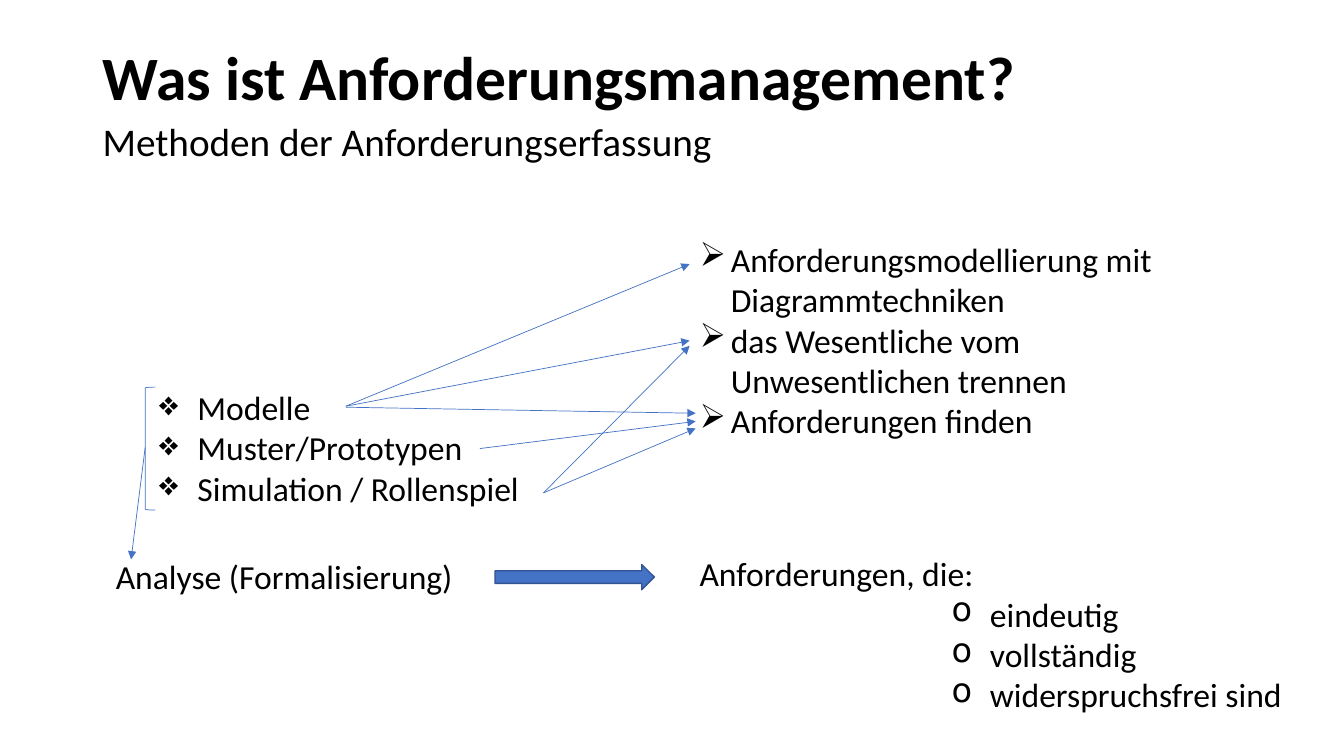
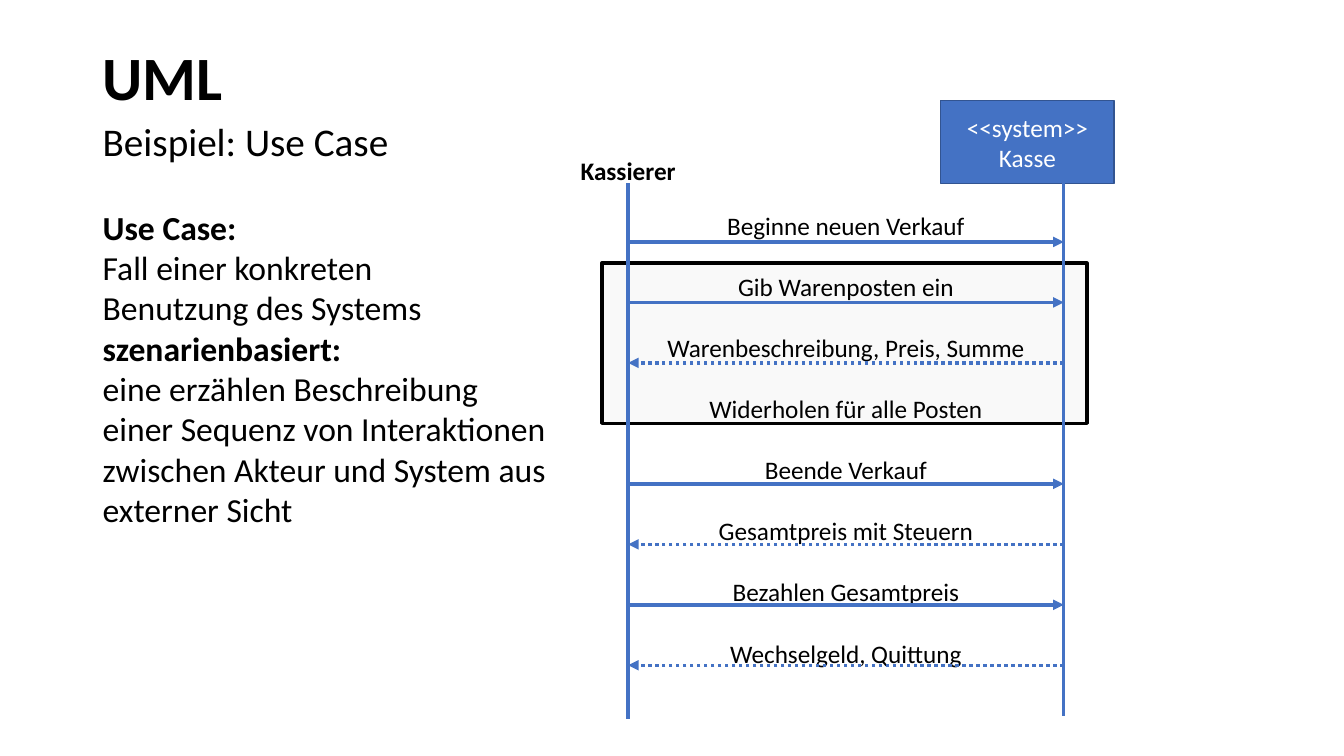
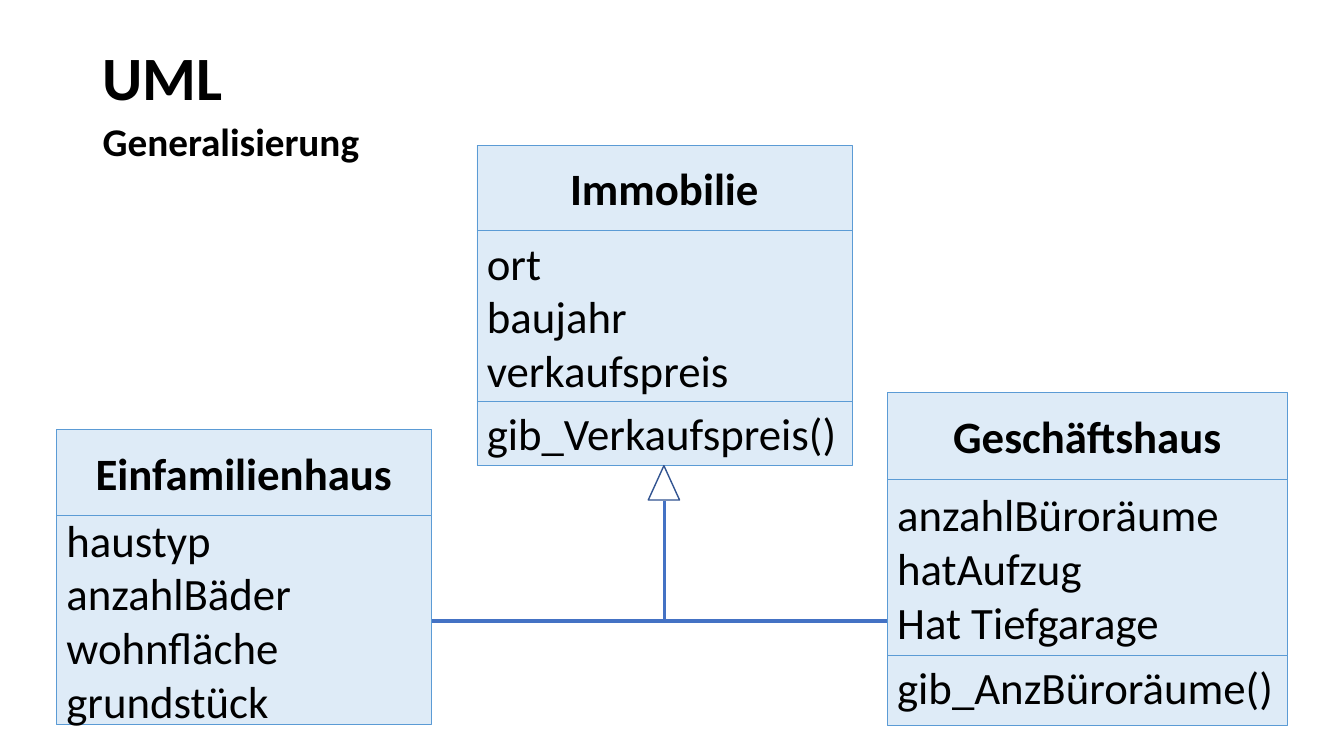
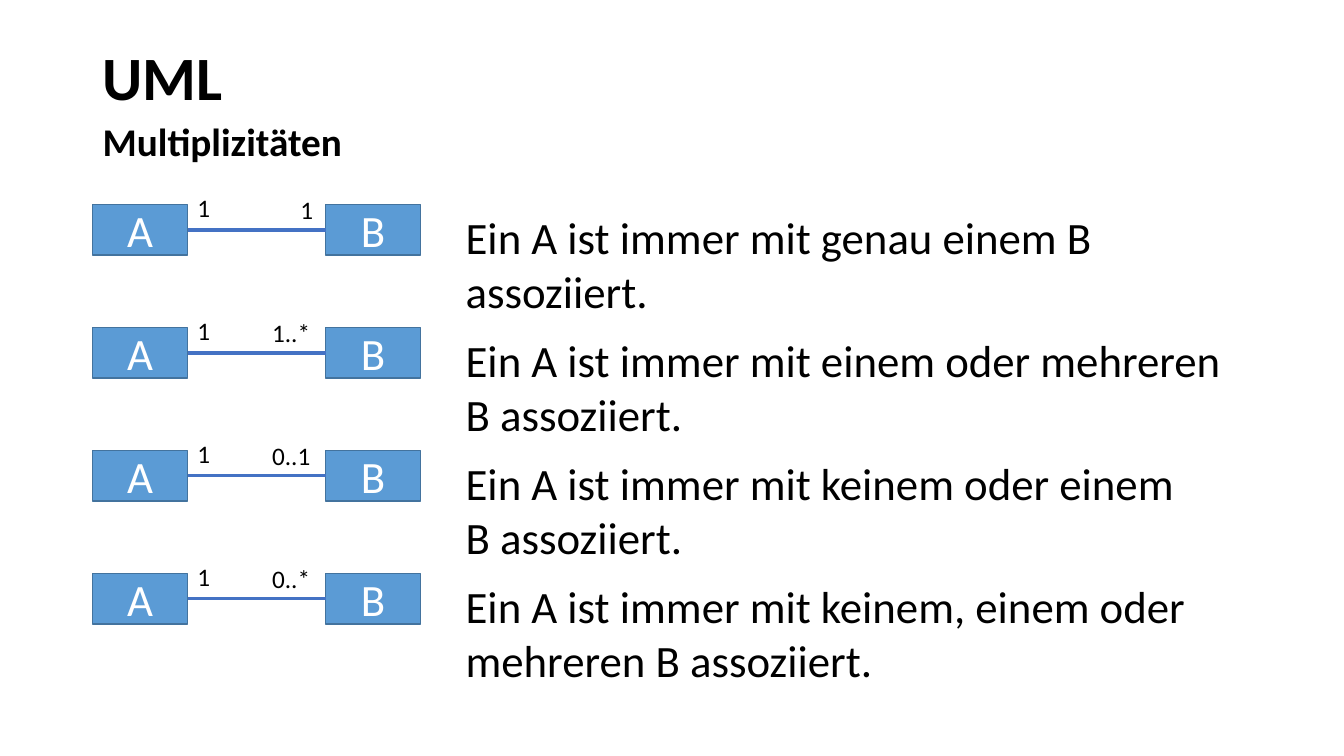
from dataclasses import dataclass

from lxml.etree import SubElement
from pptx import Presentation
from pptx.dml.color import RGBColor
from pptx.enum.dml import MSO_LINE
from pptx.enum.shapes import MSO_CONNECTOR, MSO_SHAPE
from pptx.enum.text import MSO_ANCHOR, PP_ALIGN
from pptx.oxml.ns import qn
from pptx.util import Inches, Pt


@dataclass(frozen=True)
class Theme:
    font: str = "Calibri"
    black: str = "000000"
    white: str = "FFFFFF"
    blue: str = "4472C4"
    blue_edge: str = "325491"
    sky: str = "5B9BD5"
    sky_edge: str = "43739E"
    pale: str = "DEEBF7"
    grey: str = "F2F2F2"
    title: int = 44
    subtitle: int = 28
    large: int = 32
    body: int = 24
    label: int = 18
    thick: float = 2.5
    edge: float = 1
    thin: float = 0.5


THEME = Theme()

# Methods: bulleted lists and the arrows between them
METHODS = ["Modelle", "Muster/Prototypen", "Simulation / Rollenspiel"]
GOALS = [
    "Anforderungsmodellierung mit Diagrammtechniken",
    "das Wesentliche vom Unwesentlichen trennen",
    "Anforderungen finden",
]
ANALYSIS = "Analyse (Formalisierung)"
RESULT = "Anforderungen, die:"
QUALITIES = ["eindeutig", "vollständig", "widerspruchsfrei sind"]
METHOD_ARROWS = [
    ((3.43, 4.03), (6.84, 3.38)),
    ((3.43, 4.03), (6.84, 2.62)),
    ((3.43, 4.04), (6.9, 4.1)),
    ((4.76, 4.45), (6.9, 4.18)),
    ((5.39, 4.89), (6.84, 3.43)),
    ((5.39, 4.89), (6.9, 4.25)),
    ((1.44, 4.44), (1.3, 5.55)),
]

# Use case: (text, bold) and (message, direction)
USE_CASE = [
    ("Use Case:", True),
    ("Fall einer konkreten", False),
    ("Benutzung des Systems", False),
    ("szenarienbasiert:", True),
    ("eine erzählen Beschreibung einer Sequenz von Interaktionen "
     "zwischen Akteur und System aus externer Sicht", False),
]
MESSAGES = [
    ("Beginne neuen Verkauf", "request"),
    ("Gib Warenposten ein", "request"),
    ("Warenbeschreibung, Preis, Summe", "reply"),
    ("Widerholen für alle Posten", None),
    ("Beende Verkauf", "request"),
    ("Gesamtpreis mit Steuern", "reply"),
    ("Bezahlen Gesamtpreis", "request"),
    ("Wechselgeld, Quittung", "reply"),
]

# Classes: left, top, width, name, name height, then (members, height, anchor)
CLASSES = [
    (0.56, 4.26, 3.72, "Einfamilienhaus", 0.85, [
        (["haustyp", "anzahlBäder", "wohnfläche", "grundstück"], 2.08, MSO_ANCHOR.MIDDLE)]),
    (4.73, 1.44, 3.72, "Immobilie", 0.85, [
        (["ort", "baujahr", "verkaufspreis"], 1.69, MSO_ANCHOR.MIDDLE),
        (["gib_Verkaufspreis()"], 0.64, MSO_ANCHOR.TOP)]),
    (8.8, 3.89, 3.97, "Geschäftshaus", 0.87, [
        (["anzahlBüroräume", "hatAufzug", "Hat Tiefgarage"], 1.74, MSO_ANCHOR.MIDDLE),
        (["gib_AnzBüroräume()"], 0.7, MSO_ANCHOR.TOP)]),
]

# Multiplicities: B end, left and rise of its label, sentence, sentence width
MULTIPLICITIES = [
    ("1", 2.88, "Ein A ist immer mit genau einem B assoziiert.", 7.9),
    ("1..*", 2.6, "Ein A ist immer mit einem oder mehreren B assoziiert.", 7.9),
    ("0..1", 2.6, "Ein A ist immer mit keinem oder einem B assoziiert.", 7.53),
    ("0..*", 2.6, "Ein A ist immer mit keinem, einem oder mehreren B assoziiert.", 7.53),
]


def rgb(color):
    return RGBColor.from_string(color)


def write(frame, lines, size, color=THEME.black, bold=False,
          align=PP_ALIGN.LEFT, anchor=MSO_ANCHOR.TOP):
    frame.word_wrap = True
    frame.vertical_anchor = anchor
    frame.text = "\n".join(lines)
    for paragraph in frame.paragraphs:
        paragraph.alignment = align
        for run in paragraph.runs:
            font = run.font
            font.name, font.size, font.bold = THEME.font, Pt(size), bold
            font.color.rgb = rgb(color)
    return frame.paragraphs


def add_text(slide, box, lines, size, **style):
    frame = slide.shapes.add_textbox(*map(Inches, box)).text_frame
    return write(frame, lines, size, **style)


def add_bullets(paragraphs, char, left, hanging):
    for paragraph in paragraphs:
        properties = paragraph._p.get_or_add_pPr()
        properties.set("marL", str(Inches(left)))
        properties.set("indent", str(-Inches(hanging)))
        SubElement(properties, qn("a:buChar")).set("char", char)


def add_shape(slide, kind, box, fill, edge, width):
    shape = slide.shapes.add_shape(kind, *map(Inches, box))
    shape.shadow.inherit = False
    if fill:
        shape.fill.solid()
        shape.fill.fore_color.rgb = rgb(fill)
    else:
        shape.fill.background()
    shape.line.color.rgb = rgb(edge)
    shape.line.width = Pt(width)
    return shape


def add_line(slide, start, end, width=THEME.thick, arrow=False, dotted=False):
    connector = slide.shapes.add_connector(
        MSO_CONNECTOR.STRAIGHT, *map(Inches, (*start, *end)))
    line = connector.line
    line.color.rgb = rgb(THEME.blue)
    line.width = Pt(width)
    if dotted:
        line.dash_style = MSO_LINE.ROUND_DOT
    if arrow:
        SubElement(line._get_or_add_ln(), qn("a:tailEnd")).set("type", "triangle")
    SubElement(connector.element.spPr, qn("a:effectLst"))


def add_slide(deck, title, subtitle, bold_subtitle=False):
    slide = deck.slides.add_slide(deck.slide_layouts[6])
    heading, = add_text(slide, (0.92, 0.4, 11.5, 0.8), [title], THEME.title,
                        bold=True, anchor=MSO_ANCHOR.MIDDLE)
    heading.line_spacing = 0.9
    subheading, = add_text(slide, (0.92, 1.2, 11.5, 0.5), [subtitle],
                           THEME.subtitle, bold=bold_subtitle)
    subheading.line_spacing = 0.8
    return slide


def build_methods(deck):
    slide = add_slide(deck, "Was ist Anforderungsmanagement?",
                      "Methoden der Anforderungserfassung")
    methods = add_text(slide, (1.48, 3.79, 3.91, 1.31), METHODS, THEME.body)
    add_bullets(methods, "❖", 0.38, 0.38)
    goals = add_text(slide, (6.84, 2.32, 4.81, 2.12), GOALS, THEME.body)
    add_bullets(goals, "➢", 0.31, 0.31)
    add_text(slide, (1.05, 5.47, 4.16, 0.5), [ANALYSIS], THEME.body)
    result = add_text(slide, (6.84, 5.44, 6.1, 1.72), [RESULT, *QUALITIES], THEME.body)
    add_bullets(result[1:], "o", 2.88, 0.38)
    add_shape(slide, MSO_SHAPE.RIGHT_ARROW, (4.91, 5.6, 1.58, 0.25),
              THEME.blue, THEME.blue_edge, THEME.edge)
    add_shape(slide, MSO_SHAPE.LEFT_BRACKET, (1.44, 3.84, 0.1, 1.22),
              None, THEME.blue, THEME.thin)
    for start, end in METHOD_ARROWS:
        add_line(slide, start, end, THEME.thin, arrow=True)


def build_use_case(deck):
    slide = add_slide(deck, "UML", "Beispiel: Use Case")
    actor_x, system_x = 6.23, 10.55
    first_message, message_pitch = 2.4, 0.6

    loop = add_shape(slide, MSO_SHAPE.RECTANGLE, (5.97, 2.61, 4.81, 1.59),
                     THEME.grey, THEME.black, THEME.thick)
    loop_color = loop.element.spPr.find(qn("a:solidFill"))[0]
    SubElement(loop_color, qn("a:alpha")).set("val", "44000")

    explanation = add_text(slide, (0.92, 2, 4.61, 3.33),
                           [text for text, _ in USE_CASE], THEME.body)
    for paragraph, (_, bold) in zip(explanation, USE_CASE):
        paragraph.runs[0].font.bold = bold

    add_text(slide, (5.44, 1.49, 1.58, 0.32), ["Kassierer"], THEME.label,
             bold=True, align=PP_ALIGN.CENTER)
    system = add_shape(slide, MSO_SHAPE.RECTANGLE, (9.33, 1, 1.72, 0.82),
                       THEME.blue, THEME.blue_edge, THEME.edge)
    write(system.text_frame, ["<<system>>", "Kasse"], THEME.label, THEME.white,
          align=PP_ALIGN.CENTER, anchor=MSO_ANCHOR.MIDDLE)

    messages = add_text(slide, (6.43, 2.04, 3.92, 4.64),
                        [text for text, _ in MESSAGES], THEME.label,
                        align=PP_ALIGN.CENTER)
    for paragraph in messages[1:]:
        paragraph.space_before = Pt(22)

    add_line(slide, (actor_x, 1.82), (actor_x, 7.13))
    add_line(slide, (system_x, 1.8), (system_x, 7.1))
    for row, (_, direction) in enumerate(MESSAGES):
        y = first_message + row * message_pitch
        actor, system_end = (actor_x, y), (system_x, y)
        if direction == "request":
            add_line(slide, actor, system_end, arrow=True)
        elif direction == "reply":
            add_line(slide, system_end, actor, arrow=True, dotted=True)


def add_class(slide, left, top, width, name, name_height, sections):
    """Stack the name and the member sections of one class."""
    parts = [([name], name_height, MSO_ANCHOR.MIDDLE), *sections]
    for index, (lines, height, anchor) in enumerate(parts):
        is_name = index == 0
        section = add_shape(slide, MSO_SHAPE.RECTANGLE, (left, top, width, height),
                            THEME.pale, THEME.sky, THEME.thin)
        write(section.text_frame, lines, THEME.large, bold=is_name, anchor=anchor,
              align=PP_ALIGN.CENTER if is_name else PP_ALIGN.LEFT)
        top += height


def build_generalisation(deck):
    slide = add_slide(deck, "UML", "Generalisierung", bold_subtitle=True)
    for class_parts in CLASSES:
        add_class(slide, *class_parts)
    add_line(slide, (4.28, 6.16), (8.8, 6.16))
    add_line(slide, (6.59, 6.16), (6.59, 4.97))
    add_shape(slide, MSO_SHAPE.ISOSCELES_TRIANGLE, (6.43, 4.62, 0.31, 0.34),
              None, THEME.blue_edge, THEME.edge)


def build_multiplicities(deck):
    slide = add_slide(deck, "UML", "Multiplizitäten", bold_subtitle=True)
    first_row, row_pitch = 2.03, 1.22
    a_left, b_left, box_width, box_height = 0.92, 3.23, 0.94, 0.5
    a_right = a_left + box_width
    for row, (b_end, label_left, sentence, width) in enumerate(MULTIPLICITIES):
        top = first_row + row * row_pitch
        for name, left in (("A", a_left), ("B", b_left)):
            box = add_shape(slide, MSO_SHAPE.RECTANGLE, (left, top, box_width, box_height),
                            THEME.sky, THEME.sky_edge, THEME.edge)
            write(box.text_frame, [name], THEME.large, THEME.white,
                  align=PP_ALIGN.CENTER, anchor=MSO_ANCHOR.MIDDLE)
        middle = top + box_height / 2
        add_line(slide, (a_right, middle), (b_left, middle))
        add_text(slide, (a_right, top - 0.17, 0.35, 0.4), ["1"], THEME.label)
        add_text(slide, (label_left, top - 0.15, b_left - label_left, 0.4),
                 [b_end], THEME.label)
        add_text(slide, (4.52, top, width, 1.18), [sentence], THEME.large)


def main():
    deck = Presentation()
    deck.slide_width, deck.slide_height = Inches(13.33), Inches(7.5)
    for build in (build_methods, build_use_case, build_generalisation, build_multiplicities):
        build(deck)
    deck.save("out.pptx")


if __name__ == "__main__":
    main()
